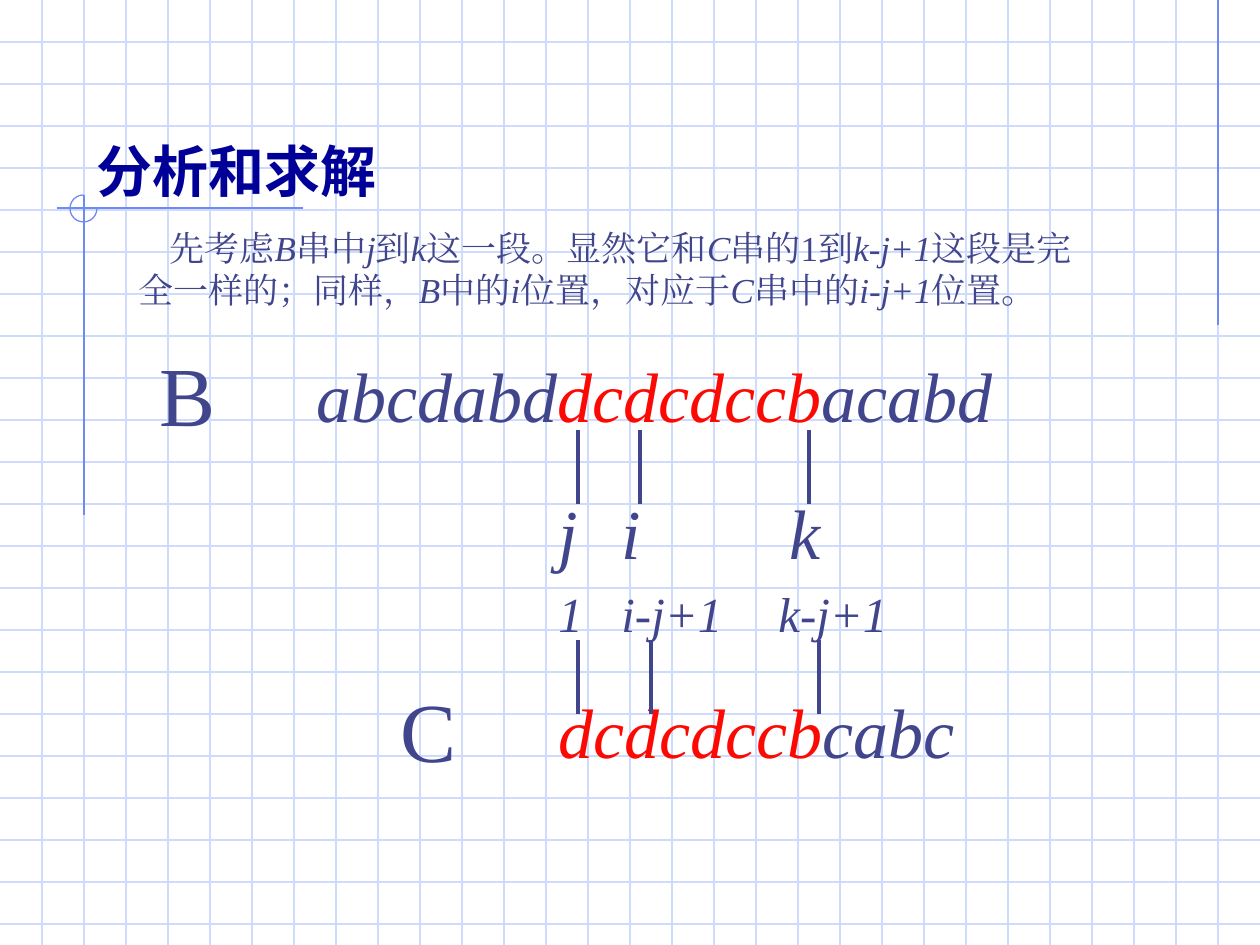
from dataclasses import dataclass

from lxml import etree
from pptx import Presentation
from pptx.dml.color import RGBColor
from pptx.enum.shapes import MSO_CONNECTOR, MSO_SHAPE
from pptx.enum.text import MSO_ANCHOR, MSO_AUTO_SIZE, PP_ALIGN
from pptx.oxml.ns import qn
from pptx.util import Emu, Pt

STRAIGHT = MSO_CONNECTOR.STRAIGHT
ARC = MSO_SHAPE.ARC
TOP, BOTTOM = MSO_ANCHOR.TOP, MSO_ANCHOR.BOTTOM
NO_FIT = MSO_AUTO_SIZE.NONE
LEFT = PP_ALIGN.LEFT

WIDTH, HEIGHT, GRID = 1260, 945, 42
INK, RED, NAVY = "40458C", "FD0903", "000099"
GRID_BLUE, RULE_BLUE = "CFDBFD", "6F89F7"


def px(length):
    return Emu(round(length * 914400 / 126))


def rgb(value):
    return RGBColor.from_string(value)


def set_all(target, values):
    for name, value in values.items():
        setattr(target, name, value)


@dataclass
class SlideBuilder:
    slide: object
    font: str = "Times New Roman"
    line_height: float = 1.2

    def line(self, x1, y1, x2, y2, color, width=0.75):
        line = self.slide.shapes.add_connector(
            STRAIGHT, px(x1), px(y1), px(x2), px(y2))
        line.line.color.rgb = rgb(color)
        line.line.width = Pt(width)
        etree.SubElement(line._element.spPr, qn("a:effectLst"))

    def arc(self, x, y, size, color):
        """Three quarters of a circle, open at the upper right."""
        arc = self.slide.shapes.add_shape(ARC, px(x), px(y), px(size), px(size))
        arc.adjustments[0], arc.adjustments[1] = 0, 162
        arc.shadow.inherit = False
        arc.fill.background()
        arc.line.color.rgb = rgb(color)
        arc.line.width = Pt(0.75)

    def runs(self, paragraph, pieces, size, font, bold=False):
        """Add (text, colour, italic) pieces to a paragraph."""
        for text, color, italic in pieces:
            run = paragraph.add_run()
            run.text = text
            set_all(run.font, {"name": font, "size": Pt(size),
                               "bold": bold, "italic": italic})
            run.font.color.rgb = rgb(color)
            east_asian = etree.SubElement(run._r.get_or_add_rPr(), qn("a:ea"))
            east_asian.set("typeface", font)

    def title(self, text, x, y, w, h):
        title = self.slide.shapes.title
        set_all(title, {"left": px(x), "top": px(y),
                        "width": px(w), "height": px(h)})
        set_all(title.text_frame, {"vertical_anchor": BOTTOM, "word_wrap": True,
                                   "auto_size": NO_FIT})
        paragraph = title.text_frame.paragraphs[0]
        paragraph.alignment = LEFT
        self.runs(paragraph, [(text, NAVY, False)], 32, "Cabin", bold=True)
        # Bring the title in front of the grid
        self.slide.shapes._spTree.append(title._element)

    def text(self, x, y, w, h, pieces, size, indent=0):
        box = self.slide.shapes.add_textbox(px(x), px(y), px(w), px(h))
        set_all(box.text_frame, {"vertical_anchor": TOP, "word_wrap": True,
                                 "auto_size": NO_FIT})
        paragraph = box.text_frame.paragraphs[0]
        set_all(paragraph, {"alignment": LEFT,
                            "line_spacing": Pt(size * self.line_height)})
        if indent:
            paragraph._p.get_or_add_pPr().set("indent", str(px(indent)))
        self.runs(paragraph, pieces, size, self.font)


def main():
    deck = Presentation()
    deck.slide_width, deck.slide_height = px(WIDTH), px(HEIGHT)
    page = SlideBuilder(deck.slides.add_slide(deck.slide_layouts[5]))

    # Squared paper
    for y in range(GRID, HEIGHT, GRID):
        page.line(0, y, WIDTH, y, GRID_BLUE)
    for x in range(GRID, WIDTH, GRID):
        page.line(x, 0, x, HEIGHT, GRID_BLUE)

    # Margin rules and the circle at their crossing
    for rule in ((1218, 0, 1218, 325), (303, 208, 57, 208), (84, 195, 84, 515)):
        page.line(*rule, RULE_BLUE)
    page.arc(70, 195, 27, RULE_BLUE)

    # Title and explanation; every second piece is a variable in italics
    page.title("分析和求解", 84, 53, 1085, 157)
    explanation = ("先考虑|B|串中|j|到|k|这一段。显然它和|C|串的1到|k-j+1|"
                   "这段是完全一样的；同样，|B|中的|i|位置，对应于|C|串中的|"
                   "i-j+1|位置。")
    pieces = [(part, INK, number % 2 == 1)
              for number, part in enumerate(explanation.split("|"))]
    page.text(126, 220, 976, 139, pieces, 20, indent=31)

    # Strings B and C: name, letters with the shared part in red
    shared = ("dcdcdccb", RED, True)
    strings = (
        ("B", 147, 336, 304, 346, 725,
         [("abcdabd", INK, True), shared, ("acabd", INK, True)]),
        ("C", 388, 672, 546, 682, 588, [shared, ("cabc", INK, True)]),
    )
    for name, name_x, name_y, x, y, width, letters in strings:
        page.text(name_x, name_y, 136, 113, [(name, INK, False)], 48)
        page.text(x, y, width, 97, letters, 40)

    # Position marks: tick x, label, label x, label width
    marks = (
        (430, 504, 483, 40, ((578, "j", 546, 63), (640, "i", 609, 63),
                             (809, "k", 777, 63))),
        (640, 714, 577, 28, ((578, "1", 546, 63), (651, "i-j+1", 609, 231),
                             (819, "k-j+1", 766, 158))),
    )
    for tick_top, tick_bottom, label_y, size, positions in marks:
        for tick_x, label, label_x, width in positions:
            page.line(tick_x, tick_top, tick_x, tick_bottom, INK, 2.75)
            page.text(label_x, label_y, width, 2 * size + 16,
                      [(label, INK, True)], size)

    deck.save("out.pptx")


if __name__ == "__main__":
    main()
